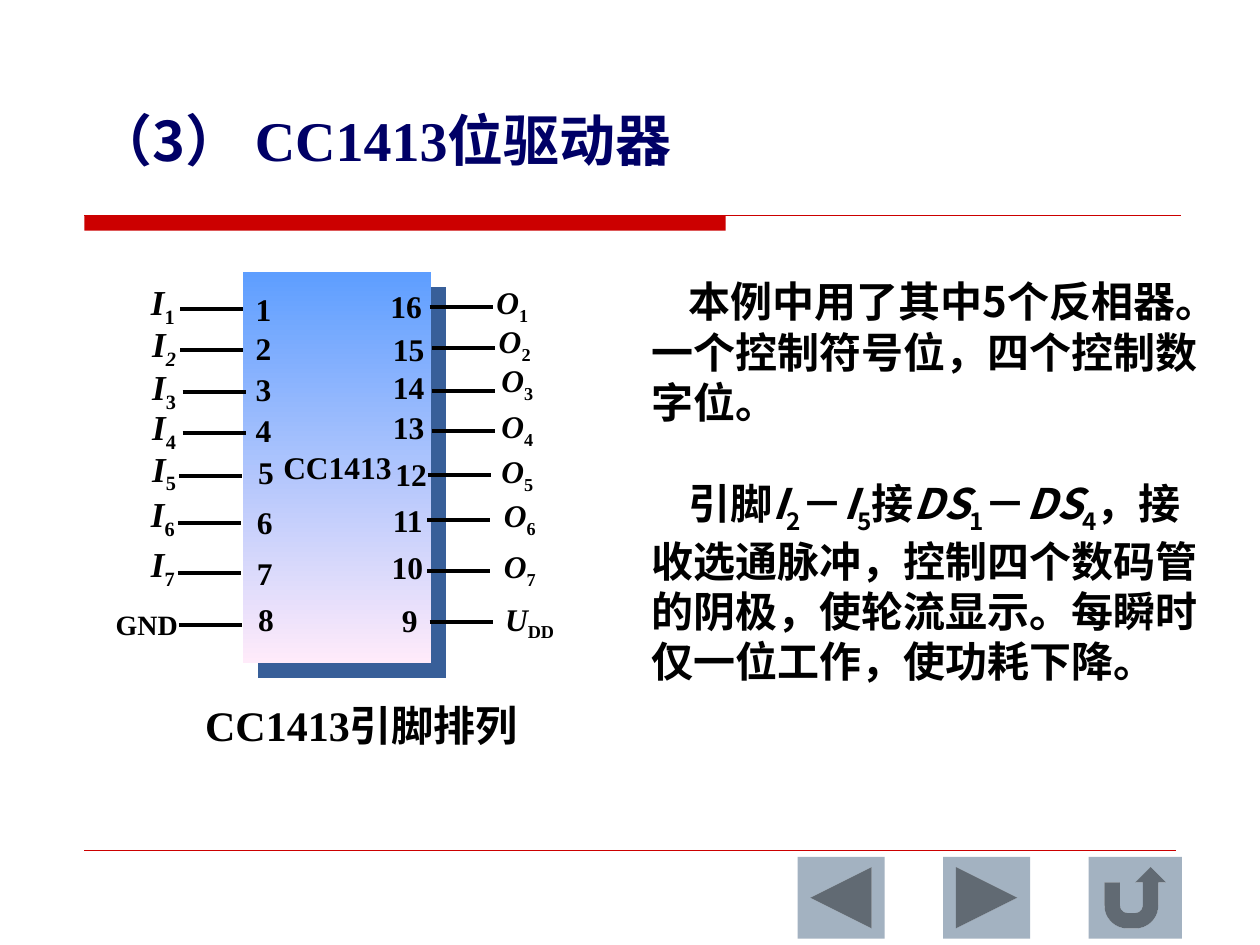
from lxml import etree
from pptx import Presentation
from pptx.dml.color import RGBColor
from pptx.enum.shapes import MSO_CONNECTOR, MSO_SHAPE
from pptx.oxml.ns import qn
from pptx.util import Inches, Pt

RED = RGBColor(0xCC, 0x00, 0x00)
NAVY = RGBColor(0x00, 0x00, 0x66)
BLACK = RGBColor(0x00, 0x00, 0x00)
SKY = RGBColor(0x5E, 0x9E, 0xFF)
PINK = RGBColor(0xFF, 0xEB, 0xFA)
SHADOW = RGBColor(0x38, 0x5F, 0x99)
STEEL = RGBColor(0xA3, 0xB2, 0xC1)

RECTANGLE = MSO_SHAPE.RECTANGLE
STRAIGHT = MSO_CONNECTOR.STRAIGHT
BUTTON_BACK = MSO_SHAPE.ACTION_BUTTON_BACK_OR_PREVIOUS
BUTTON_NEXT = MSO_SHAPE.ACTION_BUTTON_FORWARD_OR_NEXT
BUTTON_RETURN = MSO_SHAPE.ACTION_BUTTON_RETURN

SERIF = "Times New Roman"
SANS = "Noto Sans CJK SC"

# The slide is a grid of 1000 columns by 750 rows
SLIDE_WIDTH, SLIDE_HEIGHT = Inches(10), Inches(7.5)
CELL = SLIDE_WIDTH // 1000
LEAD_LENGTH = 50

# Pins, measured from the chip's top-left corner:
# number, name, subscript, lead (x, y), number (x, y), name (x, y)
LEFT_PINS = [
    ("1", "I", "1", (-50, 29), (0, 9), (-83, 2)),
    ("2", "I", "2", (-50, 62), (0, 40), (-82, 35)),
    ("3", "I", "3", (-48, 95), (0, 73), (-82, 69)),
    ("4", "I", "4", (-48, 128), (0, 105), (-82, 101)),
    ("5", "I", "5", (-51, 162), (2, 139), (-82, 134)),
    ("6", "I", "6", (-52, 199), (1, 178), (-83, 170)),
    ("7", "I", "7", (-52, 239), (1, 219), (-83, 210)),
    ("8", "GND", "", (-51, 280), (2, 255), (-111, 261)),
]
RIGHT_PINS = [
    ("16", "O", "1", (148, 28), (107, 7), (191, 4)),
    ("15", "O", "2", (150, 60), (109, 41), (193, 35)),
    ("14", "O", "3", (150, 94), (109, 71), (195, 66)),
    ("13", "O", "4", (150, 126), (109, 103), (195, 102)),
    ("12", "O", "5", (147, 161), (111, 140), (195, 138)),
    ("11", "O", "6", (146, 197), (109, 177), (197, 173)),
    ("10", "O", "7", (146, 237), (108, 214), (197, 213)),
    ("9", "U", "DD", (148, 278), (116, 256), (198, 255)),
]


def add_run(paragraph, text, size, font=SERIF, color=BLACK, italic=False, subscript=False):
    run = paragraph.add_run()
    run.text = text
    run.font.size = Pt(size)
    run.font.bold = True
    run.font.italic = italic
    run.font.name = font
    run.font.color.rgb = color
    properties = run._r.get_or_add_rPr()
    if subscript:
        properties.set("baseline", "-25000")
    etree.SubElement(properties, qn("a:ea")).set("typeface", SANS)


def add_text(slide, left, top, width, height, wrap=False):
    box = slide.shapes.add_textbox(*(CELL * value for value in (left, top, width, height)))
    box.text_frame.word_wrap = wrap
    return box.text_frame


def add_line(slide, left, top, length, color, weight):
    line = slide.shapes.add_connector(
        STRAIGHT, CELL * left, CELL * top, CELL * (left + length), CELL * top)
    line.line.color.rgb = color
    line.line.width = Pt(weight)
    etree.SubElement(line._element.spPr, qn("a:effectLst"))


def add_shape(slide, kind, left, top, width, height):
    shape = slide.shapes.add_shape(kind, *(CELL * value for value in (left, top, width, height)))
    shape.shadow.inherit = False
    shape.line.fill.background()
    return shape


def add_heading(slide, left, top, width):
    """Title over a red rule with a thick start, and the thin footer line."""
    paragraph = add_text(slide, left, top, 532, 64).paragraphs[0]
    for text, font in (("（3） ", SANS), ("CC1413", SERIF), ("位驱动器", SANS)):
        add_run(paragraph, text, 32, font, NAVY)
    bar = add_shape(slide, RECTANGLE, left, top + 92, 509, 12)
    bar.fill.solid()
    bar.fill.fore_color.rgb = RED
    add_line(slide, left, top + 92, width, RED, 0.75)
    add_line(slide, left, top + 596, width - 4, RED, 0.25)


def add_chip_body(slide, left, top, width, height):
    chip = add_shape(slide, RECTANGLE, left, top, width, height)
    chip.fill.gradient()
    chip.fill.gradient_angle = 270
    for stop, color in zip(chip.fill.gradient_stops, (SKY, PINK)):
        stop.color.rgb = color
    # Hard shadow, down and to the right
    effects = chip._element.spPr.find(qn("a:effectLst"))
    shadow = etree.SubElement(effects, qn("a:outerShdw"), blurRad="0", dist=str(Pt(12.1)),
                              dir="2700000", algn="ctr", rotWithShape="0")
    etree.SubElement(shadow, qn("a:srgbClr"), val=str(SHADOW))


def add_pin(slide, left, top, pin, name_size, name_width):
    number, name, subscript, lead, number_at, name_at = pin
    add_line(slide, left + lead[0], top + lead[1], LEAD_LENGTH, BLACK, 2.25)
    number_width = 32 if len(number) == 1 else 45
    frame = add_text(slide, left + number_at[0], top + number_at[1], number_width, 40)
    add_run(frame.paragraphs[0], number, 18)
    frame = add_text(slide, left + name_at[0], top + name_at[1], name_width, 44, wrap=True)
    paragraph = frame.paragraphs[0]
    if subscript:
        add_run(paragraph, name, name_size, italic=True)
        add_run(paragraph, subscript, name_size, italic=(name + subscript == "I2"),
                subscript=True)
    else:
        add_run(paragraph, name, 16)


def add_chip(slide, left, top, width, height):
    """Chip with its pins, name and caption."""
    add_chip_body(slide, left, top, width, height)
    for pin in LEFT_PINS:
        add_pin(slide, left, top, pin, 20, 47 if pin[2] else 75)
    for pin in RIGHT_PINS:
        add_pin(slide, left, top, pin, 18, 75)
    add_run(add_text(slide, left + 22, top + 135, 106, 40).paragraphs[0], "CC1413", 18)
    caption = add_text(slide, left - 40, top + 334, 276, 50)
    add_run(caption.paragraphs[0], "CC1413引脚排列", 24)


def add_explanation(slide, left, top, width, height):
    """Two paragraphs; each run is (text, style), style i italic, s subscript."""
    paragraphs = [
        [("本例中用了其中5个反相器。一个控制符号位，四个控制数字位。", "")],
        [("引脚", ""), ("I", "i"), ("2", "s"), ("－", ""), ("I", "i"), ("5", "s"),
         ("接", ""), ("DS", "i"), ("1", "s"), ("－", ""), ("DS", "i"), ("4", "s"),
         ("，接收选通脉冲，控制四个数码管的阴极，使轮流显示。"
          "每瞬时仅一位工作，使功耗下降。", "")],
    ]
    frame = add_text(slide, left, top, width, height, wrap=True)
    for index, runs in enumerate(paragraphs):
        paragraph = frame.add_paragraph() if index else frame.paragraphs[0]
        paragraph._p.get_or_add_pPr().set("indent", str(Inches(0.3)))
        if index:
            paragraph.space_before = Pt(29)
        for text, style in runs:
            add_run(paragraph, text, 24, SANS, italic=style == "i", subscript=style == "s")


def add_navigation(slide, left, top, pitch, height):
    buttons = ((BUTTON_BACK, 69), (BUTTON_NEXT, 69), (BUTTON_RETURN, 74))
    for index, (kind, width) in enumerate(buttons):
        button = add_shape(slide, kind, left + index * pitch, top, width, height)
        button.fill.solid()
        button.fill.fore_color.rgb = STEEL


def main():
    presentation = Presentation()
    presentation.slide_width, presentation.slide_height = SLIDE_WIDTH, SLIDE_HEIGHT
    slide = presentation.slides.add_slide(presentation.slide_layouts[6])
    add_heading(slide, 67, 79, 870)
    add_chip(slide, 193, 216, 149, 310)
    add_explanation(slide, 507, 214, 460, 381)
    add_navigation(slide, 633, 680, 115.5, 65)
    presentation.save("out.pptx")


if __name__ == "__main__":
    main()
